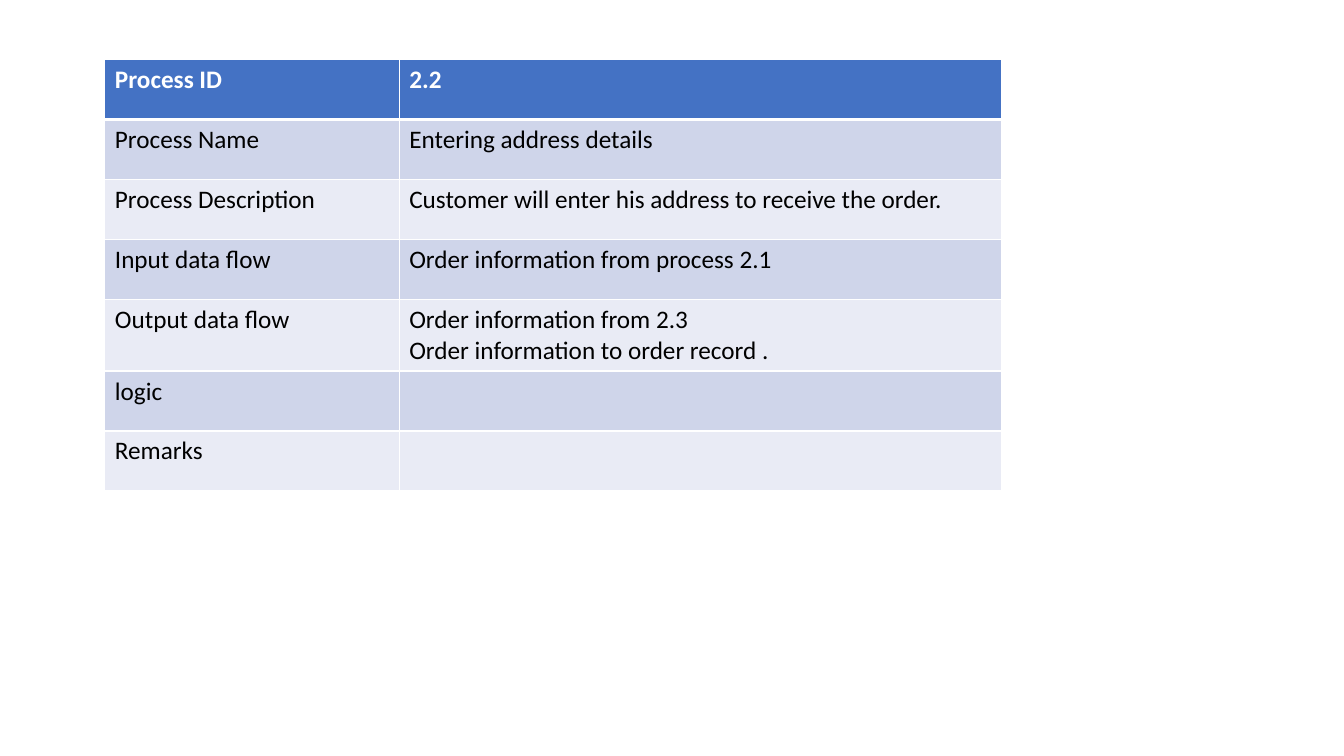
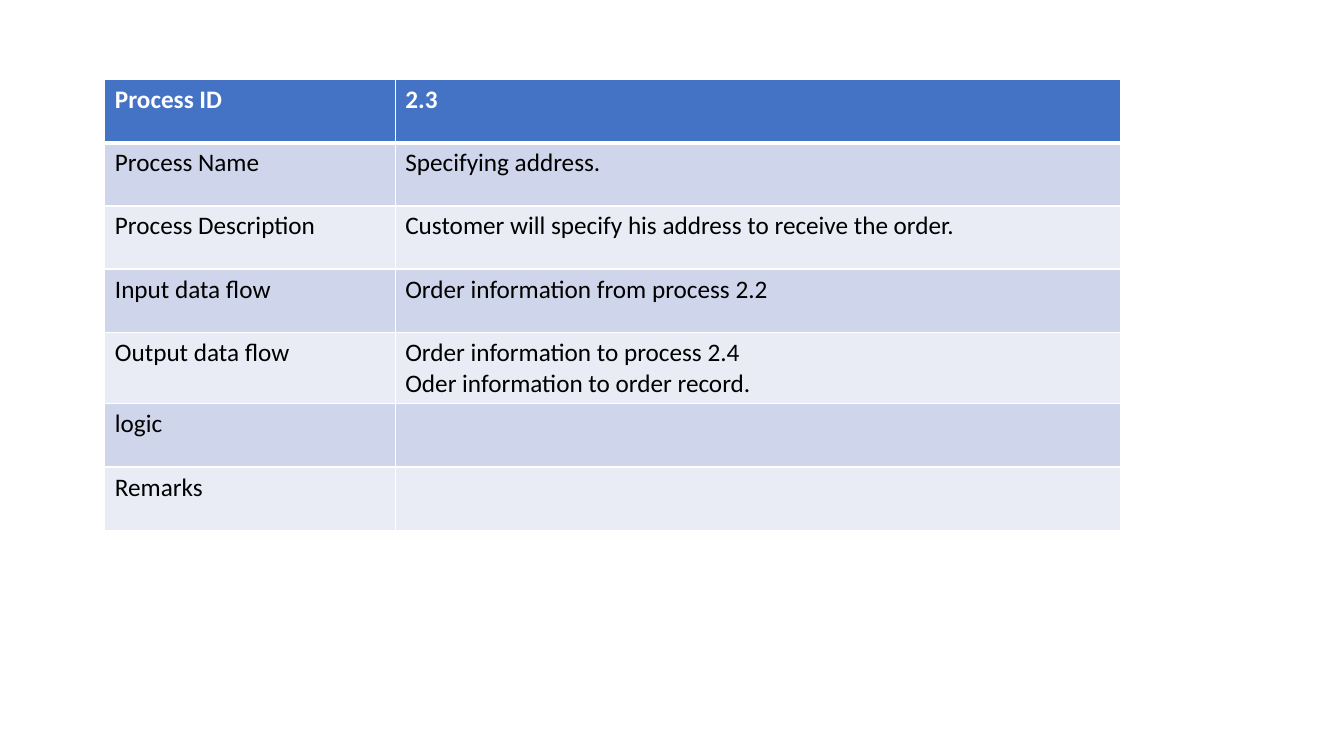
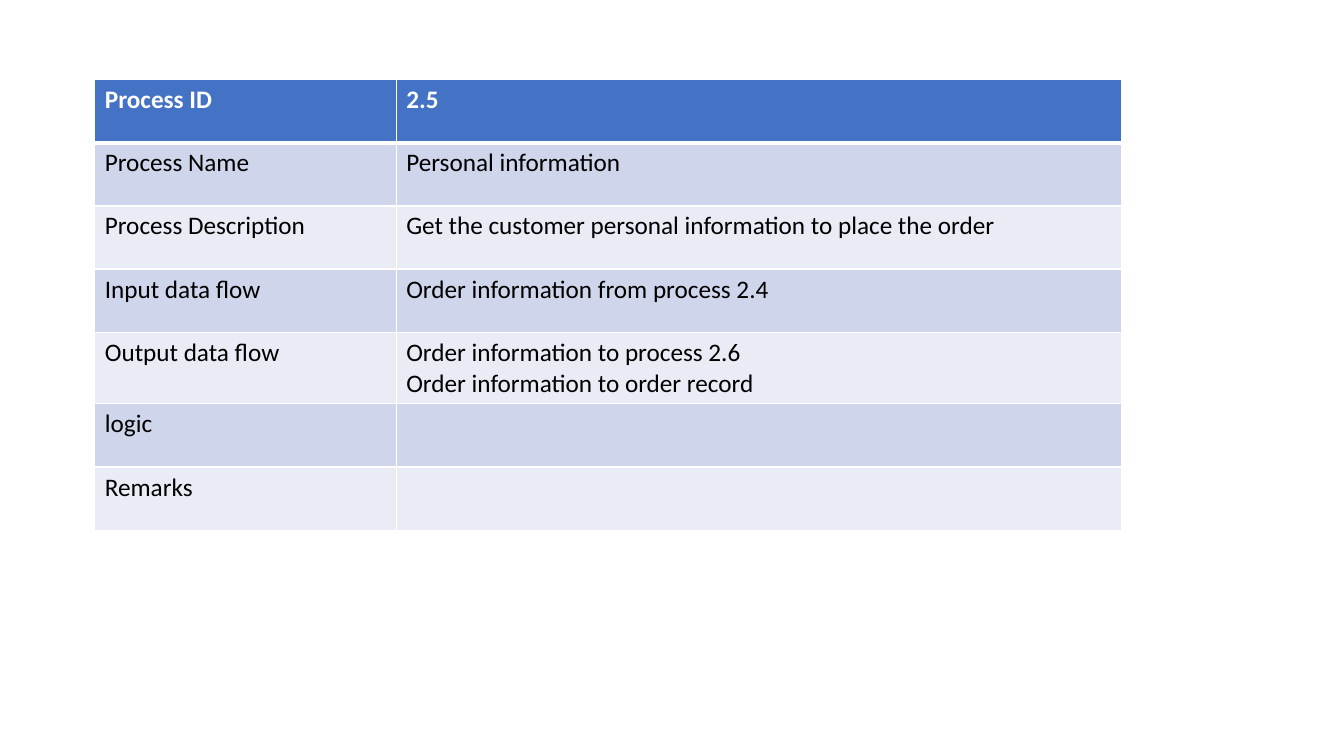
"""Build three process description slides, each holding one two-column table."""
from dataclasses import dataclass

from lxml import etree
from pptx import Presentation
from pptx import util as u
from pptx.dml.color import RGBColor
from pptx.oxml import ns

LABELS = ["Process ID", "Process Name", "Process Description", "Input data flow",
          "Output data flow", "logic", "Remarks"]

PROCESSES = [
    {"left": 1.04, "top": 0.59, "height": 4.28, "columns": (2.92, 5.97),
     "details": ["2.2", "Entering address details",
                 "Customer will enter his address to receive the order.",
                 "Order information from process 2.1",
                 "Order information from 2.3\nOrder information to order record .",
                 "", ""]},
    {"left": 1.04, "top": 0.79, "height": 4.47, "columns": (2.88, 7.19),
     "details": ["2.3", "Specifying address.",
                 "Customer will specify his address to receive the order.",
                 "Order information from process 2.2",
                 "Order information to process 2.4\nOder information to order record.",
                 "", ""]},
    {"left": 0.94, "top": 0.79, "height": 4.47, "columns": (2.99, 7.19),
     "details": ["2.5", "Personal information",
                 "Get the customer personal information to place the order",
                 "Order information from process 2.4",
                 "Order information to process 2.6\nOrder information to order record",
                 "", ""]},
]


@dataclass(frozen=True)
class Theme:
    font: str = "Calibri"
    size: int = 18
    header_fill: str = "4472C4"
    header_text: str = "FFFFFF"
    bands: tuple = ("E9EBF5", "CFD5EA")
    body_text: str = "000000"
    border: str = "FFFFFF"
    thin: int = 1
    thick: int = 3


THEME = Theme()
SLIDE_SIZE = (13.33, 7.5)
TWO_LINE_ROW = 0.71


def set_borders(cell, row):
    properties = cell._tc.get_or_add_tcPr()
    widths = {side: THEME.thin for side in ("lnL", "lnR", "lnT", "lnB")}
    if row == 0:
        widths["lnB"] = THEME.thick
    elif row == 1:
        widths["lnT"] = THEME.thick
    for side, width in widths.items():
        line = etree.SubElement(properties, ns.qn(f"a:{side}"), w=str(u.Pt(width)))
        fill = etree.SubElement(line, ns.qn("a:solidFill"))
        etree.SubElement(fill, ns.qn("a:srgbClr"), val=THEME.border)


def fill_cell(cell, row, content):
    header = row == 0
    set_borders(cell, row)
    cell.fill.solid()
    cell.fill.fore_color.rgb = RGBColor.from_string(
        THEME.header_fill if header else THEME.bands[row % 2])
    cell.text = content
    for para in cell.text_frame.paragraphs:
        para.font.name = THEME.font
        para.font.size = u.Pt(THEME.size)
        para.font.bold = header
        para.font.color.rgb = RGBColor.from_string(
            THEME.header_text if header else THEME.body_text)


def add_process(deck, process):
    page = deck.slides.add_slide(deck.slide_layouts[6])
    count = len(LABELS)
    row_height = (process["height"] - TWO_LINE_ROW) / (count - 1)
    box = (process["left"], process["top"], sum(process["columns"]), row_height * count)
    table = page.shapes.add_table(count, 2, *map(u.Inches, box)).table
    for column, width in zip(table.columns, process["columns"]):
        column.width = u.Inches(width)
    for row, contents in enumerate(zip(LABELS, process["details"])):
        for column, content in enumerate(contents):
            fill_cell(table.cell(row, column), row, content)


deck = Presentation()
deck.slide_width, deck.slide_height = map(u.Inches, SLIDE_SIZE)
for process in PROCESSES:
    add_process(deck, process)
deck.save("out.pptx")
